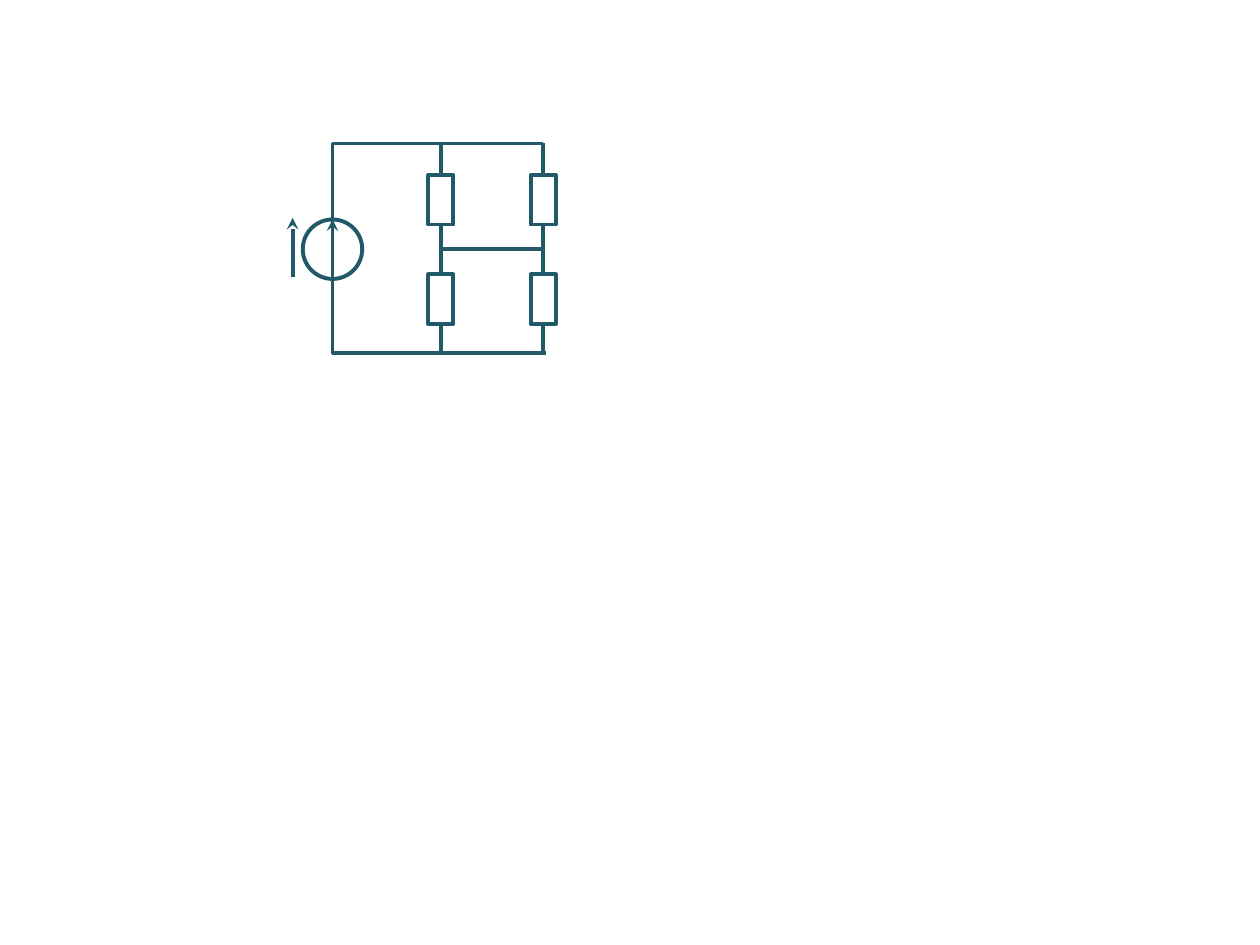
from dataclasses import dataclass

from lxml import etree
from pptx import Presentation
from pptx.dml.color import RGBColor
from pptx.enum.shapes import MSO_CONNECTOR as CONNECTOR, MSO_SHAPE as SHAPE
from pptx.oxml.ns import qn
from pptx.util import Pt


@dataclass(frozen=True)
class Theme:
    ink: RGBColor = RGBColor(0x21, 0x59, 0x68)
    stroke: float = 2.25


theme = Theme()

deck = Presentation()
deck.slide_width, deck.slide_height = Pt(720), Pt(540)
page = deck.slides.add_slide(deck.slide_layouts[6])


def add_wire(x1, y1, x2, y2, arrow=False):
    wire = page.shapes.add_connector(
        CONNECTOR.STRAIGHT, Pt(x1), Pt(y1), Pt(x2), Pt(y2))
    wire.line.color.rgb = theme.ink
    wire.line.width = Pt(theme.stroke)
    if arrow:
        outline = wire.line._get_or_add_ln()
        etree.SubElement(outline, qn("a:tailEnd"), type="stealth")
    etree.SubElement(wire._element.spPr, qn("a:effectLst"))


def add_symbol(kind, center_x, center_y, width, height):
    """Draw an unfilled circuit symbol around its centre."""
    symbol = page.shapes.add_shape(
        kind, Pt(center_x - width / 2), Pt(center_y - height / 2),
        Pt(width), Pt(height))
    symbol.shadow.inherit = False
    symbol.fill.background()
    symbol.line.color.rgb = theme.ink
    symbol.line.width = Pt(theme.stroke)


# Circuit grid
source_x, branch_xs = 190, (251.9, 310.4)
top, middle, bottom = 82, 142.4, 201.6
resistor_ys = (114.2, 170.9)
resistor_width, resistor_height = 14.2, 28.2
source_size = 34

# Resistor branches, with wire above, between and below the resistors
for x in branch_xs:
    wire_start = top
    for y in resistor_ys:
        add_symbol(SHAPE.RECTANGLE, x, y, resistor_width, resistor_height)
        add_wire(x, wire_start, x, y - resistor_height / 2)
        wire_start = y + resistor_height / 2
    add_wire(x, wire_start, x, bottom)

# Rails, bridge and source branch
add_wire(source_x, top, branch_xs[1], top)
add_wire(branch_xs[0], middle, branch_xs[1], middle)
add_wire(source_x, bottom, branch_xs[1] + 1.5, bottom)
add_wire(source_x, top, source_x, bottom + 0.6)

# Current source with its inner and outer direction arrows
add_symbol(SHAPE.OVAL, source_x, middle, source_size, source_size)
for x, shift in ((source_x, 0), (167.2, -0.9)):
    add_wire(x, middle + source_size / 2 + shift,
             x, middle - source_size / 2 + shift, arrow=True)

deck.save("out.pptx")
